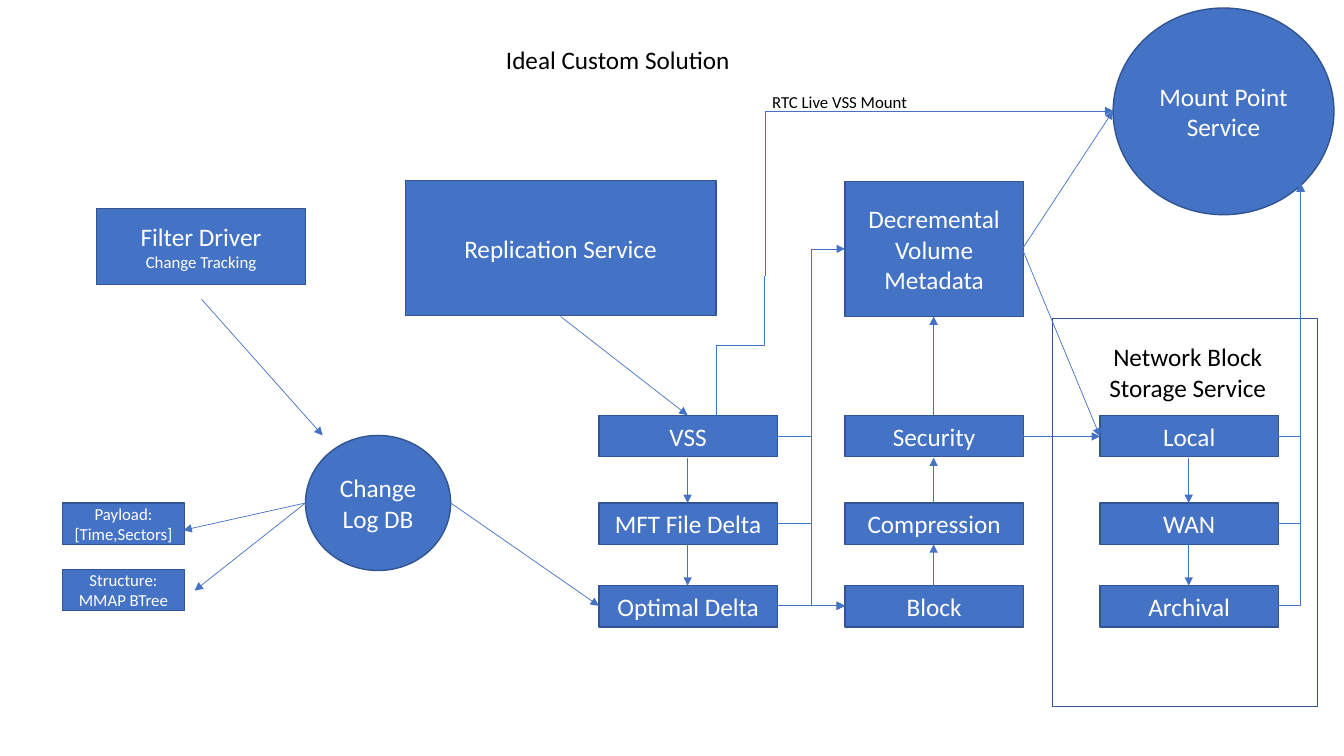
from itertools import cycle
from lxml import etree
from pptx import Presentation
from pptx import util as u
from pptx.dml import color
from pptx.enum import shapes, text
from pptx.oxml import ns

BLUE, EDGE, WHITE, BLACK = "4472C4", "325491", "FFFFFF", "000000"
RECT, OVAL = shapes.MSO_SHAPE.RECTANGLE, shapes.MSO_SHAPE.OVAL
MID, LEFT = text.PP_ALIGN.CENTER, text.PP_ALIGN.LEFT


def tint(code):
    """Turn a hex string into a colour."""
    return color.RGBColor.from_string(code)


def inch(vals):
    """Turn numbers into lengths."""
    return [u.Inches(v) for v in vals]


class Chart:
    """Style and current slide of the flow chart."""

    face = "Calibri"

    def __init__(self, deck):
        """Add a blank slide."""
        self.slide = deck.slides.add_slide(deck.slide_layouts[6])

    def fill_in(self, frame, words, sizes, ink, align):
        """Fill a frame: \\n parts paragraphs, \\v breaks a line."""
        for i, line in enumerate(words.split("\n")):
            para = frame.add_paragraph() if i else frame.paragraphs[0]
            para.text, para.alignment = line, align
            for run, size in zip(para.runs, cycle(sizes)):
                form = {"name": self.face, "size": u.Pt(size)}
                for key, val in form.items():
                    setattr(run.font, key, val)
                run.font.color.rgb = tint(ink)
            for br in para._p.findall(ns.qn("a:br")):
                etree.SubElement(br, ns.qn("a:rPr"), sz=str(sizes[0] * 100))

    def node(self, at, words="", sizes=(18,), kind=RECT, fill=BLUE):
        """Draw an outlined shape with centred text."""
        item = self.slide.shapes.add_shape(kind, *inch(at))
        item.shadow.inherit = False
        if fill:
            item.fill.solid()
            item.fill.fore_color.rgb = tint(fill)
        else:
            item.fill.background()
        item.line.color.rgb, item.line.width = tint(EDGE), u.Pt(1)
        if words:
            item.text_frame.vertical_anchor = text.MSO_ANCHOR.MIDDLE
            self.fill_in(item.text_frame, words, sizes, WHITE, MID)

    def label(self, at, words, size=18, align=LEFT, wrap=False):
        """Place plain black text."""
        frame = self.slide.shapes.add_textbox(*inch(at)).text_frame
        form = {"word_wrap": wrap,
                "auto_size": text.MSO_AUTO_SIZE.SHAPE_TO_FIT_TEXT}
        for key, val in form.items():
            setattr(frame, key, val)
        self.fill_in(frame, words, (size,), BLACK, align)

    def link(self, start, end, geom="line", head=True, turn=0):
        """Draw a thin line, by default with an arrowhead."""
        item = self.slide.shapes.add_connector(
            shapes.MSO_CONNECTOR.STRAIGHT, *inch(start + end))
        item.line.color.rgb, item.line.width = tint(BLUE), u.Pt(0.5)
        prop = item._element.spPr
        prop.find(ns.qn("a:prstGeom")).set("prst", geom)
        if turn:
            prop.find(ns.qn("a:xfrm")).set("rot", str(turn * 60000))
        if head:
            etree.SubElement(prop.find(ns.qn("a:ln")), ns.qn("a:tailEnd"),
                             type="triangle")
        etree.SubElement(prop, ns.qn("a:effectLst"))


deck = Presentation()
deck.slide_width, deck.slide_height = inch((13.33, 7.5))
flow = Chart(deck)

WIDE, HIGH, GAP = 1.77, 0.41, 0.45
ROWS = (4.12, 4.99, 5.81)
LINES = (4.33, 5.19, 6.01)
DELTA, STORE, NET = 5.94, 8.38, 10.91
META, MOUNT = (10.14, 2.47), (11.04, 1.1)

flow.node((10.44, 3.16, 2.63, 3.85), fill=None)
flow.label((4.92, 0.39, 2.44, 0.4), "Ideal Custom Solution")

# Change log
flow.node((0.96, 2.07, 2.07, 0.75), "Filter Driver\vChange Tracking", (18, 12))
flow.node((3.03, 4.32, 1.44, 1.34), "Change Log DB", kind=OVAL)
flow.node((0.62, 4.99, 1.21, HIGH), "Payload:\n[Time,Sectors]", (12,))
flow.node((0.62, 5.65, 1.21, HIGH), "Structure:\vMMAP BTree", (12,))
flow.node((4.02, 1.79, 3.08, 1.34), "Replication Service")

# Three columns of steps
STEPS = {DELTA: ("VSS", "MFT File Delta", "Optimal Delta"),
         STORE: ("Security", "Compression", "Block"),
         NET: ("Local", "WAN", "Archival")}
for left, names in STEPS.items():
    for top, name in zip(ROWS, names):
        flow.node((left, top, WIDE, HIGH), name)
for mid in (6.82, 11.79):
    for top in ROWS[1:]:
        flow.link((mid, top - GAP), (mid, top))
flow.node((STORE, 1.8, WIDE, 1.34), "Decremental\vVolume Metadata")
for low, top in ((5.81, 5.4), (4.99, 4.54), (4.12, 3.14)):
    flow.link((9.26, low), (9.26, top))
flow.label((10.89, 3.34, 1.78, 0.71), "Network Block Storage Service",
           align=MID, wrap=True)
flow.node((11.04, 0.08, 2.19, 2.05), "Mount Point\nService", kind=OVAL)

# Straight arrows
for start, end in (((2, 2.97), (3.2, 4.32)),
                   ((3.03, 4.99), (1.82, 5.26)),
                   ((3.03, 4.99), (1.93, 5.86)),
                   ((4.47, 4.99), (DELTA, 6.01)),
                   ((5.56, 3.14), (6.82, 4.12)),
                   ((7.71, 6.01), (STORE, 6.01)),
                   ((10.14, 4.33), (NET, 4.33)),
                   (META, (NET, 4.33)),
                   (META, MOUNT)):
    flow.link(start, end)

# Elbow arrows
for start, end in zip(LINES, (6.01, 6.01, 2.47)):
    flow.link((7.71, start), (STORE, end), "bentConnector3")
for start in LINES:
    flow.link((12.68, start), (12.9, 1.82), "bentConnector2")

# Live mount route
flow.link((8.04, 3.67), (6.65, 3.19), "bentConnector3", head=False, turn=90)
flow.link((7.59, 2.74), (7.59, 1.1), head=False)
flow.link((7.59, 1.1), MOUNT)
flow.label((7.56, 0.86, 1.65, 0.3), "RTC Live VSS Mount", 12)

deck.save("out.pptx")
